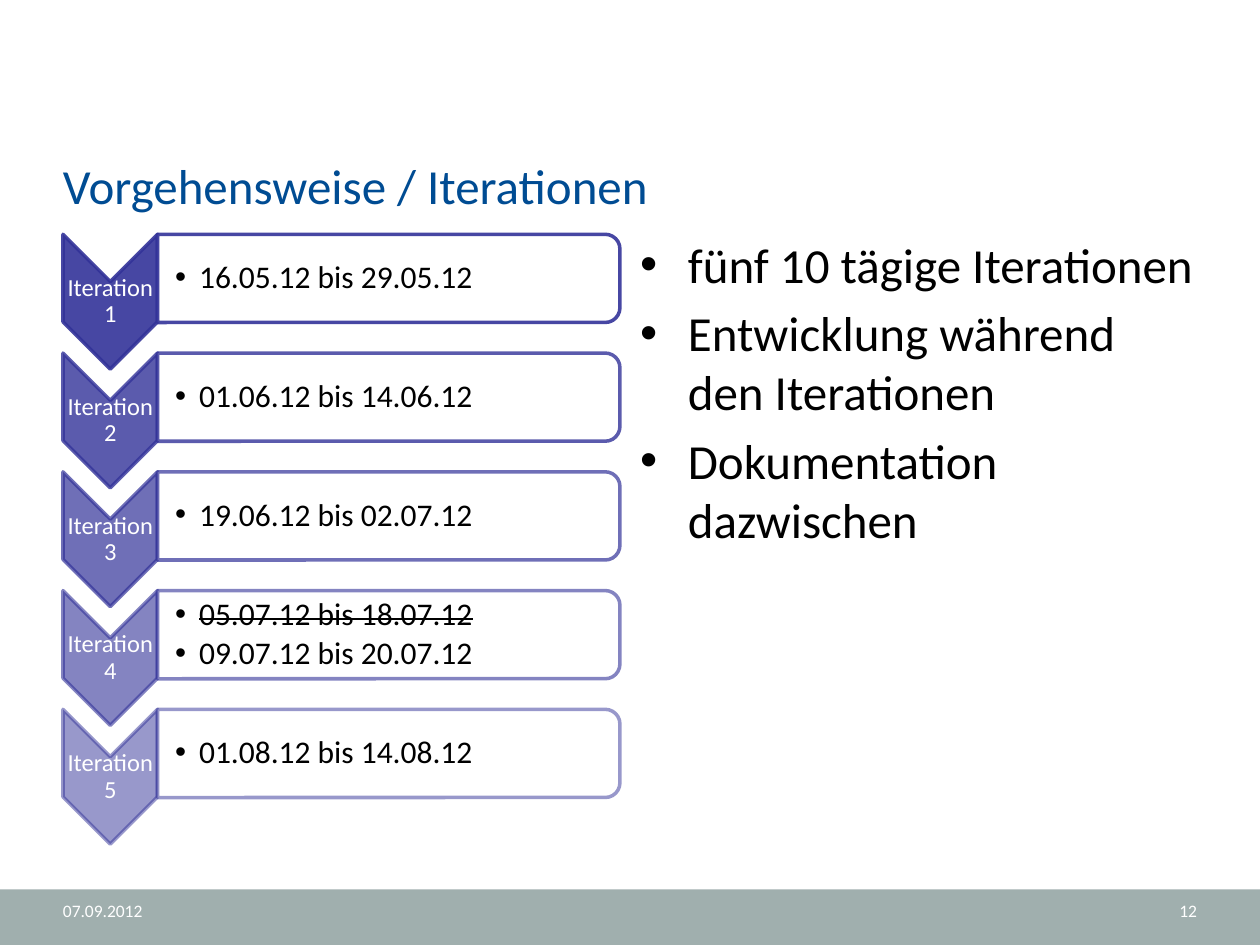
from lxml import etree
from pptx import Presentation
from pptx import util as u
from pptx.dml.color import RGBColor
from pptx.enum import shapes, text
from pptx.oxml import ns

BLUE = RGBColor(0x00, 0x4C, 0x93)
INDIGO = RGBColor(0x33, 0x33, 0x99)
GREY = RGBColor(0xA0, 0xAF, 0xAE)
WHITE = RGBColor(0xFF, 0xFF, 0xFF)
BLACK = RGBColor(0x00, 0x00, 0x00)
FONT = "Calibri"

# Grid of 40 columns and 30 rows, all lengths below are in its cells
COLUMNS, ROWS = 40, 30
CELL = u.Inches(0.25)
MARGIN = 2
CONTENT = COLUMNS - 2 * MARGIN
FOOTER_TOP = 28.24

# Iteration list
LIST_TOP, STEP = 7.44, 3.77
ARROW_WIDTH, ARROW_HEIGHT = 3, 4.28
BAR_WIDTH, BAR_HEIGHT = 14.68, 2.8
BAR_LEFT = MARGIN + ARROW_WIDTH

# Dates of each iteration, with True where they are struck out
ITERATIONS = [
    [("16.05.12 bis 29.05.12", False)],
    [("01.06.12 bis 14.06.12", False)],
    [("19.06.12 bis 02.07.12", False)],
    [("05.07.12 bis 18.07.12", True), ("09.07.12 bis 20.07.12", False)],
    [("01.08.12 bis 14.08.12", False)],
]
POINTS = [
    "fünf 10 tägige Iterationen",
    "Entwicklung während den Iterationen",
    "Dokumentation dazwischen",
]


def cells(*counts):
    return [round(count * CELL) for count in counts]


def set_opacity(fill_format, percent):
    """Give a solid fill an alpha value."""
    solid = fill_format._xPr.find(ns.qn("a:solidFill"))
    etree.SubElement(solid[0], ns.qn("a:alpha"), val=str(percent * 1000))


def add_filled(slide, kind, left, top, width, height, color):
    shape = slide.shapes.add_shape(kind, *cells(left, top, width, height))
    shape.shadow.inherit = False
    shape.fill.solid()
    shape.fill.fore_color.rgb = color
    shape.line.fill.background()
    return shape


def add_turned(slide, kind, left, top, width, height, color, fill_opacity, line_opacity):
    """Add a shape turned by 90 degrees that covers the given area."""
    shift = (width - height) / 2
    shape = add_filled(slide, kind, left + shift, top - shift, height, width, color)
    shape.rotation = 90
    set_opacity(shape.fill, fill_opacity)
    shape.line.color.rgb = INDIGO
    shape.line.width = u.Pt(2)
    set_opacity(shape.line.fill, line_opacity)


def add_frame(slide, left, top, width, height, anchor=text.MSO_ANCHOR.TOP, inset=0, left_inset=None):
    frame = slide.shapes.add_textbox(*cells(left, top, width, height)).text_frame
    frame.word_wrap = True
    frame.vertical_anchor = anchor
    frame.margin_left = u.Inches(inset if left_inset is None else left_inset)
    frame.margin_top = frame.margin_right = frame.margin_bottom = u.Inches(inset)
    return frame


def add_paragraph(frame, words, size, color, align=text.PP_ALIGN.LEFT):
    first = frame.paragraphs[0]
    paragraph = frame.add_paragraph() if first.runs else first
    paragraph.alignment = align
    run = paragraph.add_run()
    run.text = words
    run.font.name = FONT
    run.font.size = u.Pt(size)
    run.font.color.rgb = color
    return paragraph


def set_bullet(paragraph, indent):
    properties = paragraph._p.get_or_add_pPr()
    properties.set("marL", str(u.Inches(indent)))
    properties.set("indent", str(-u.Inches(indent)))
    etree.SubElement(properties, ns.qn("a:buFont"), typeface="Arial")
    etree.SubElement(properties, ns.qn("a:buChar"), char="•")


def add_iteration(slide, index, dates):
    top = LIST_TOP + index * STEP
    opacity = 90 - 10 * index
    middle = text.MSO_ANCHOR.MIDDLE

    # Arrow with its label
    add_turned(slide, shapes.MSO_SHAPE.CHEVRON, MARGIN, top,
               ARROW_WIDTH, ARROW_HEIGHT, INDIGO, opacity, opacity)
    label = add_frame(slide, MARGIN, top + ARROW_WIDTH / 2, ARROW_WIDTH,
                      ARROW_HEIGHT - ARROW_WIDTH, middle, 0.01)
    paragraph = add_paragraph(label, f"Iteration {index + 1}", 14, WHITE, text.PP_ALIGN.CENTER)
    paragraph.line_spacing = 0.9

    # Bar with its dates
    add_turned(slide, shapes.MSO_SHAPE.ROUND_2_SAME_RECTANGLE, BAR_LEFT, top,
               BAR_WIDTH, BAR_HEIGHT, WHITE, 90, opacity)
    frame = add_frame(slide, BAR_LEFT, top + 0.14, BAR_WIDTH - 0.16,
                      BAR_HEIGHT - 0.28, middle, 0.01, 0.14)
    for words, struck in dates:
        paragraph = add_paragraph(frame, words, 18, BLACK)
        paragraph.line_spacing = 0.9
        paragraph.space_after = u.Pt(2.7)
        set_bullet(paragraph, 0.19)
        if struck:
            paragraph.runs[0]._r.get_or_add_rPr().set("strike", "sngStrike")


def add_points(slide):
    frame = add_frame(slide, 20.32, LIST_TOP, 17.68, 19.36)
    for words in POINTS:
        paragraph = add_paragraph(frame, words, 28, BLACK)
        paragraph.space_before = u.Pt(5.6)
        set_bullet(paragraph, 0.38)


def add_footer(slide):
    add_filled(slide, shapes.MSO_SHAPE.RECTANGLE, 0, FOOTER_TOP, COLUMNS, ROWS - FOOTER_TOP, GREY)
    width = 9.32
    for left, words, align in (
        (MARGIN, "07.09.2012", text.PP_ALIGN.LEFT),
        (COLUMNS - MARGIN - width, "12", text.PP_ALIGN.RIGHT),
    ):
        frame = add_frame(slide, left, FOOTER_TOP + 0.32, width, 0.96)
        add_paragraph(frame, words, 10, WHITE, align)


def main():
    presentation = Presentation()
    presentation.slide_width, presentation.slide_height = cells(COLUMNS, ROWS)
    slide = presentation.slides.add_slide(presentation.slide_layouts[6])

    add_footer(slide)
    title = add_frame(slide, MARGIN, 2.72, CONTENT, 4.08, text.MSO_ANCHOR.BOTTOM)
    add_paragraph(title, "Vorgehensweise / Iterationen", 28, BLUE)
    for index, dates in enumerate(ITERATIONS):
        add_iteration(slide, index, dates)
    add_points(slide)

    presentation.save("out.pptx")


if __name__ == "__main__":
    main()
